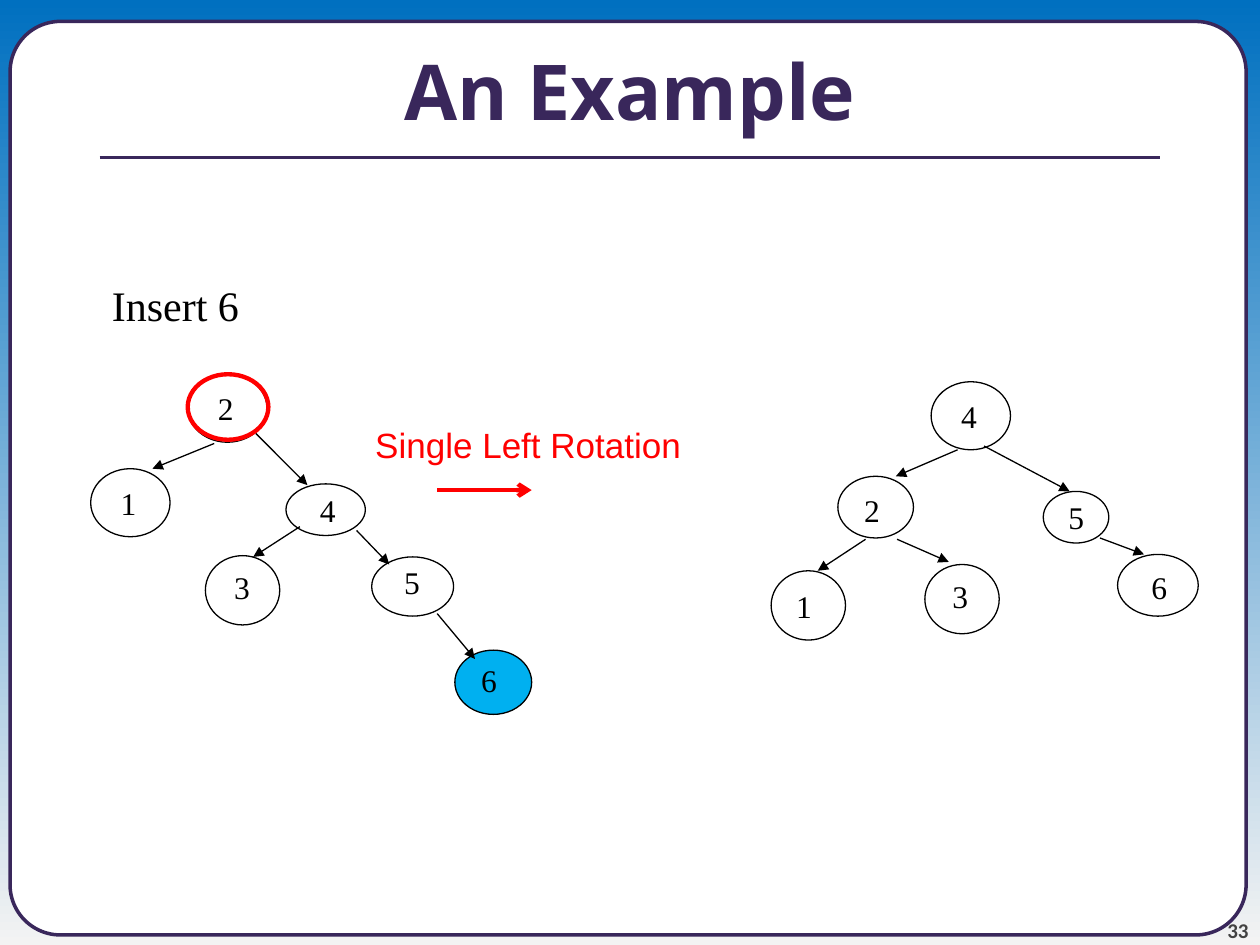
from lxml.etree import SubElement
from pptx import Presentation
from pptx.dml.color import RGBColor
from pptx.enum.shapes import MSO_CONNECTOR, MSO_SHAPE
from pptx.enum.text import MSO_ANCHOR as Anchor, MSO_AUTO_SIZE as AutoSize, PP_ALIGN as Align
from pptx.oxml.ns import qn
from pptx.util import Inches, Pt

WIDTH, HEIGHT = 10, 7.5
BLACK, RED, PURPLE, WHITE, CYAN = "000000", "FF0000", "39275B", "FFFFFF", "00B0F0"
SERIF = "Times New Roman"
LABEL_HEIGHT = 0.4

# Node: label, ellipse (left, top, width, height), label (left, top, width), fill
# Edge: start point, end point
TREES = [
    {
        "nodes": [
            ("6", (3.61, 5.16, 0.61, 0.51), (3.72, 5.2, 0.27), CYAN),
            ("2", (1.49, 2.97, 0.63, 0.54), (1.63, 3.04, 1.12), None),
            ("1", (0.72, 3.72, 0.63, 0.54), (0.86, 3.79, 0.7), None),
            ("4", (2.27, 3.84, 0.63, 0.41), (2.44, 3.85, 0.53), None),
            ("5", (2.95, 4.42, 0.65, 0.47), (3.11, 4.42, 0.84), None),
            ("3", (1.63, 4.41, 0.59, 0.55), (1.76, 4.46, 0.54), None),
        ],
        "edges": [
            ((1.7, 3.52), (1.21, 3.72)),
            ((2.03, 3.44), (2.44, 3.85)),
            ((2.38, 4.18), (2.01, 4.42)),
            ((2.83, 4.21), (3.09, 4.48)),
            ((3.47, 4.87), (3.77, 5.23)),
        ],
    },
    {
        "nodes": [
            ("4", (7.39, 3.03, 0.63, 0.54), (7.53, 3.1, 1.12), None),
            ("2", (6.65, 3.78, 0.6, 0.49), (6.76, 3.85, 0.7), None),
            ("5", (8.28, 3.9, 0.52, 0.41), (8.38, 3.9, 0.52), None),
            ("6", (8.87, 4.4, 0.64, 0.49), (9.04, 4.46, 0.84), None),
            ("1", (6.12, 4.53, 0.59, 0.55), (6.22, 4.61, 0.54), None),
            ("3", (7.34, 4.48, 0.59, 0.55), (7.46, 4.53, 0.54), None),
        ],
        "edges": [
            ((7.6, 3.57), (7.11, 3.78)),
            ((7.81, 3.54), (8.49, 3.9)),
            ((6.87, 4.28), (6.49, 4.53)),
            ((7.12, 4.28), (7.53, 4.46)),
            ((8.73, 4.27), (9.08, 4.4)),
        ],
    },
]


def color(value):
    return RGBColor.from_string(value)


def add_outline(shapes, kind, box, line=BLACK, points=0.75, fill=None):
    """Add a preset shape with a plain outline, unfilled unless told otherwise."""
    shape = shapes.add_shape(kind, *map(Inches, box))
    shape.shadow.inherit = False
    if fill:
        shape.fill.solid()
        shape.fill.fore_color.rgb = color(fill)
    else:
        shape.fill.background()
    shape.line.color.rgb = color(line)
    shape.line.width = Pt(points)
    return shape


def add_line(shapes, start, end, line=BLACK, points=0.75, arrowhead="triangle"):
    connector = shapes.add_connector(MSO_CONNECTOR.STRAIGHT, *map(Inches, start + end))
    connector.line.color.rgb = color(line)
    connector.line.width = Pt(points)
    if arrowhead:
        SubElement(connector.line._get_or_add_ln(), qn("a:tailEnd"), type=arrowhead)
    SubElement(connector._element.spPr, qn("a:effectLst"))


def add_text(shapes, text, box, size, font=SERIF, ink=BLACK, bold=False,
             align=Align.LEFT, wrap=True):
    text_box = shapes.add_textbox(*map(Inches, box))
    frame = text_box.text_frame
    frame.word_wrap = wrap
    frame.auto_size = AutoSize.NONE
    paragraph = frame.paragraphs[0]
    paragraph.alignment = align
    run = paragraph.add_run()
    run.text = text
    run.font.name, run.font.size, run.font.bold = font, Pt(size), bold
    run.font.color.rgb = color(ink)
    return frame


def add_frame(slide):
    """Add the gradient background, rounded panel, page number and title rule."""
    background = slide.background.fill
    background.gradient()
    background.gradient_angle = 270
    for stop, position, value in zip(background.gradient_stops, (0, 1), ("0070C0", "F3F3F3")):
        stop.position = position
        stop.color.rgb = color(value)

    panel = add_outline(slide.shapes, MSO_SHAPE.ROUNDED_RECTANGLE,
                        (0.08, 0.17, 9.81, 7.25), PURPLE, 2, WHITE)
    panel.adjustments[0] = 0.055

    number = add_text(slide.shapes, "33", (9.08, 7.08, 0.83, 0.4), 12, "Calibri",
                      "424242", True, Align.RIGHT)
    number.vertical_anchor = Anchor.BOTTOM
    number.margin_left = number.margin_right = number.margin_top = number.margin_bottom = 0

    margin = 0.79
    add_line(slide.shapes, (margin, 1.25), (WIDTH - margin, 1.25), PURPLE, 2.25, None)


def add_tree(slide, tree):
    shapes = slide.shapes.add_group_shape().shapes
    for label, ellipse, (left, top, width), fill in tree["nodes"]:
        add_outline(shapes, MSO_SHAPE.OVAL, ellipse, fill=fill)
        add_text(shapes, label, (left, top, width, LABEL_HEIGHT), 18)
    for start, end in tree["edges"]:
        add_line(shapes, start, end)


def main():
    presentation = Presentation()
    presentation.slide_width, presentation.slide_height = Inches(WIDTH), Inches(HEIGHT)
    slide = presentation.slides.add_slide(presentation.slide_layouts[6])
    shapes = slide.shapes

    add_frame(slide)
    add_text(shapes, "An Example", (0, 0.3, WIDTH, 1.25), 44, "Open Sans", PURPLE,
             True, Align.CENTER)
    add_text(shapes, "Insert 6", (0.79, 2.17, 1.54, 0.5), 24)
    for tree in TREES:
        add_tree(slide, tree)

    add_outline(shapes, MSO_SHAPE.OVAL, (1.49, 2.97, 0.64, 0.52), RED, 2.5)
    add_text(shapes, "Single Left Rotation", (2.88, 3.31, 2.74, 0.44), 20, "Arial", RED,
             wrap=False)
    add_line(shapes, (3.47, 3.89), (4.22, 3.89), RED, 2.5, "arrow")

    presentation.save("out.pptx")


if __name__ == "__main__":
    main()
